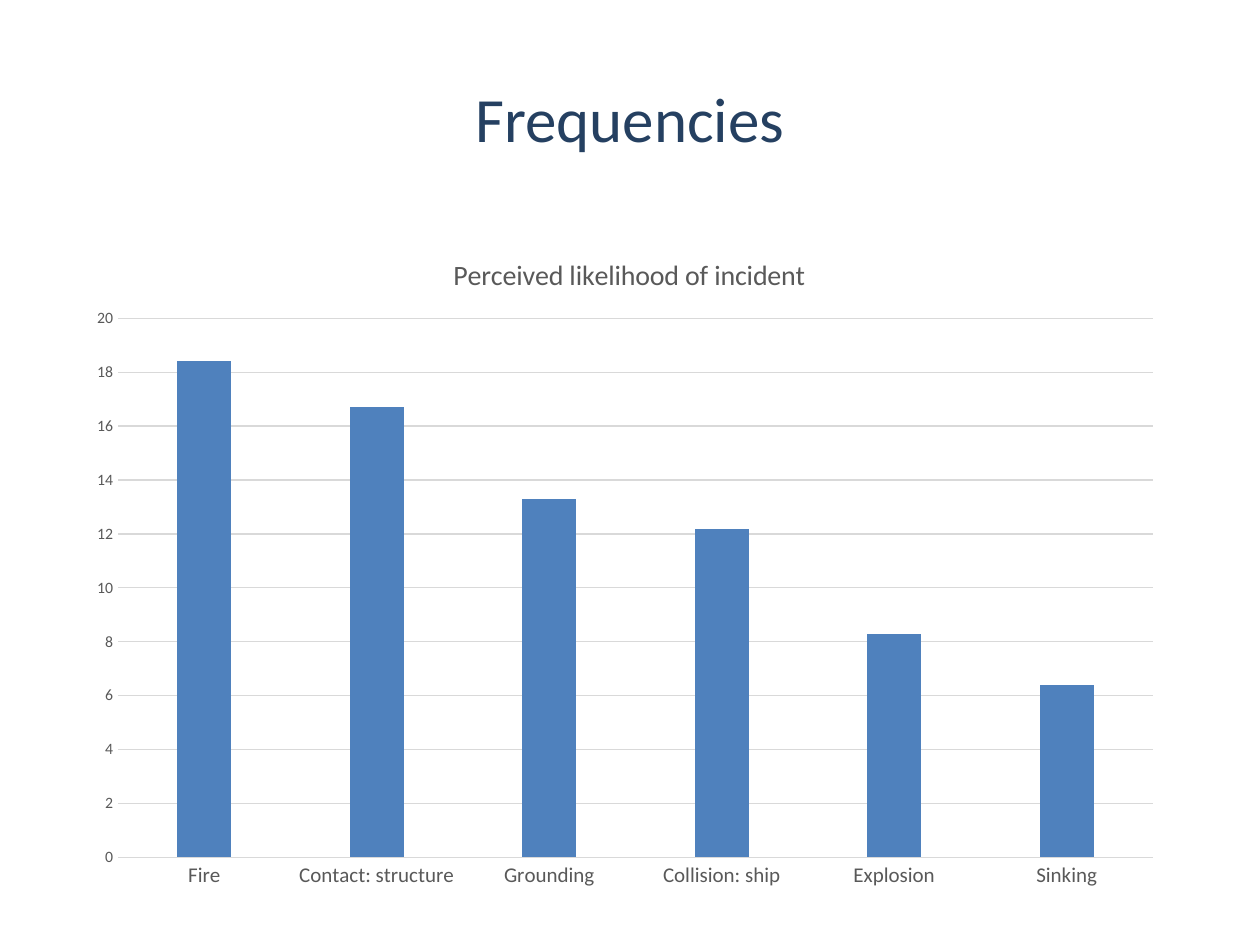
from dataclasses import dataclass

from lxml import etree
from pptx import Presentation
from pptx.chart.data import CategoryChartData
from pptx.dml.color import RGBColor
from pptx.enum.chart import XL_CHART_TYPE, XL_TICK_MARK
from pptx.enum.text import MSO_ANCHOR, PP_ALIGN
from pptx.util import Inches, Pt

COLUMNS = XL_CHART_TYPE.COLUMN_CLUSTERED
NO_TICKS = XL_TICK_MARK.NONE
CENTER, MIDDLE = PP_ALIGN.CENTER, MSO_ANCHOR.MIDDLE

PX = Inches(1) / 126
FONT = "Calibri"
COLORS = {"title": "254061", "text": "595959", "grid": "D9D9D9", "bar": "4F81BD"}
CHART_NS = "http://schemas.openxmlformats.org/drawingml/2006/chart"


@dataclass
class Box:
    left: int
    top: int
    width: int
    height: int

    def emu(self) -> tuple[int, ...]:
        return tuple(round(v * PX) for v in (self.left, self.top, self.width, self.height))


@dataclass
class Incident:
    name: str
    likelihood: float


TITLE_BOX = Box(63, 38, 1134, 158)
CHART_BOX = Box(74, 224, 1101, 674)
INCIDENTS = [
    Incident("Fire", 18.4),
    Incident("Contact: structure", 16.7),
    Incident("Grounding", 13.3),
    Incident("Collision: ship", 12.2),
    Incident("Explosion", 8.3),
    Incident("Sinking", 6.4),
]


def style_font(font, size: int, color: str) -> None:
    font.name = FONT
    font.size = Pt(size)
    font.bold = False
    font.color.rgb = RGBColor.from_string(COLORS[color])


def style_line(line) -> None:
    line.color.rgb = RGBColor.from_string(COLORS["grid"])
    line.width = Pt(0.75)


def set_layout(parent, index: int, **values: float | str) -> None:
    """Place a chart part by fractions of the chart's size."""
    for old in parent.findall(f"{{{CHART_NS}}}layout"):
        parent.remove(old)
    layout = etree.Element(f"{{{CHART_NS}}}layout")
    manual = etree.SubElement(layout, f"{{{CHART_NS}}}manualLayout")
    for tag, value in values.items():
        etree.SubElement(manual, f"{{{CHART_NS}}}{tag}", val=str(value))
    parent.insert(index, layout)


def add_title(s, text: str) -> None:
    sp = s.shapes.title
    sp.left, sp.top, sp.width, sp.height = TITLE_BOX.emu()
    tf = sp.text_frame
    tf.text = text
    tf.vertical_anchor = MIDDLE
    p = tf.paragraphs[0]
    p.alignment = CENTER
    style_font(p.runs[0].font, 36, "title")


def add_likelihood_chart(s) -> None:
    data = CategoryChartData()
    data.categories = [i.name for i in INCIDENTS]
    data.add_series("Series 1", [i.likelihood for i in INCIDENTS])
    chart = s.shapes.add_chart(COLUMNS, *CHART_BOX.emu(), data).chart
    style_font(chart.font, 10, "text")
    chart.has_legend = False

    chart.has_title = True
    tf = chart.chart_title.text_frame
    tf.text = "Perceived likelihood of incident"
    style_font(tf.paragraphs[0].runs[0].font, 16, "text")
    chart.chart_title.include_in_layout = False

    plot = chart.plots[0]
    plot.vary_by_categories = False
    plot.gap_width = 219
    plot.overlap = -27
    fill = plot.series[0].format.fill
    fill.solid()
    fill.fore_color.rgb = RGBColor.from_string(COLORS["bar"])

    cat, val = chart.category_axis, chart.value_axis
    for axis, size in ((cat, 12), (val, 9)):
        axis.major_tick_mark = axis.minor_tick_mark = NO_TICKS
        style_font(axis.tick_labels.font, size, "text")
    style_line(cat.format.line)
    val.format.line.fill.background()
    val.has_major_gridlines = True
    style_line(val.major_gridlines.format.line)
    val.minimum_scale, val.maximum_scale, val.major_unit = 0, 20, 2

    root = chart.element
    set_layout(root.find(f".//{{{CHART_NS}}}title"), 1,
               xMode="edge", yMode="edge", x=0.34, y=0.04)
    set_layout(root.find(f".//{{{CHART_NS}}}plotArea"), 0,
               layoutTarget="inner", xMode="edge", yMode="edge",
               x=0.04, y=0.14, w=0.94, h=0.8)


def main() -> None:
    prs = Presentation()
    prs.slide_width, prs.slide_height = Inches(10), Inches(7.5)
    s = prs.slides.add_slide(prs.slide_layouts[5])
    add_title(s, "Frequencies")
    add_likelihood_chart(s)
    prs.save("out.pptx")


if __name__ == "__main__":
    main()
